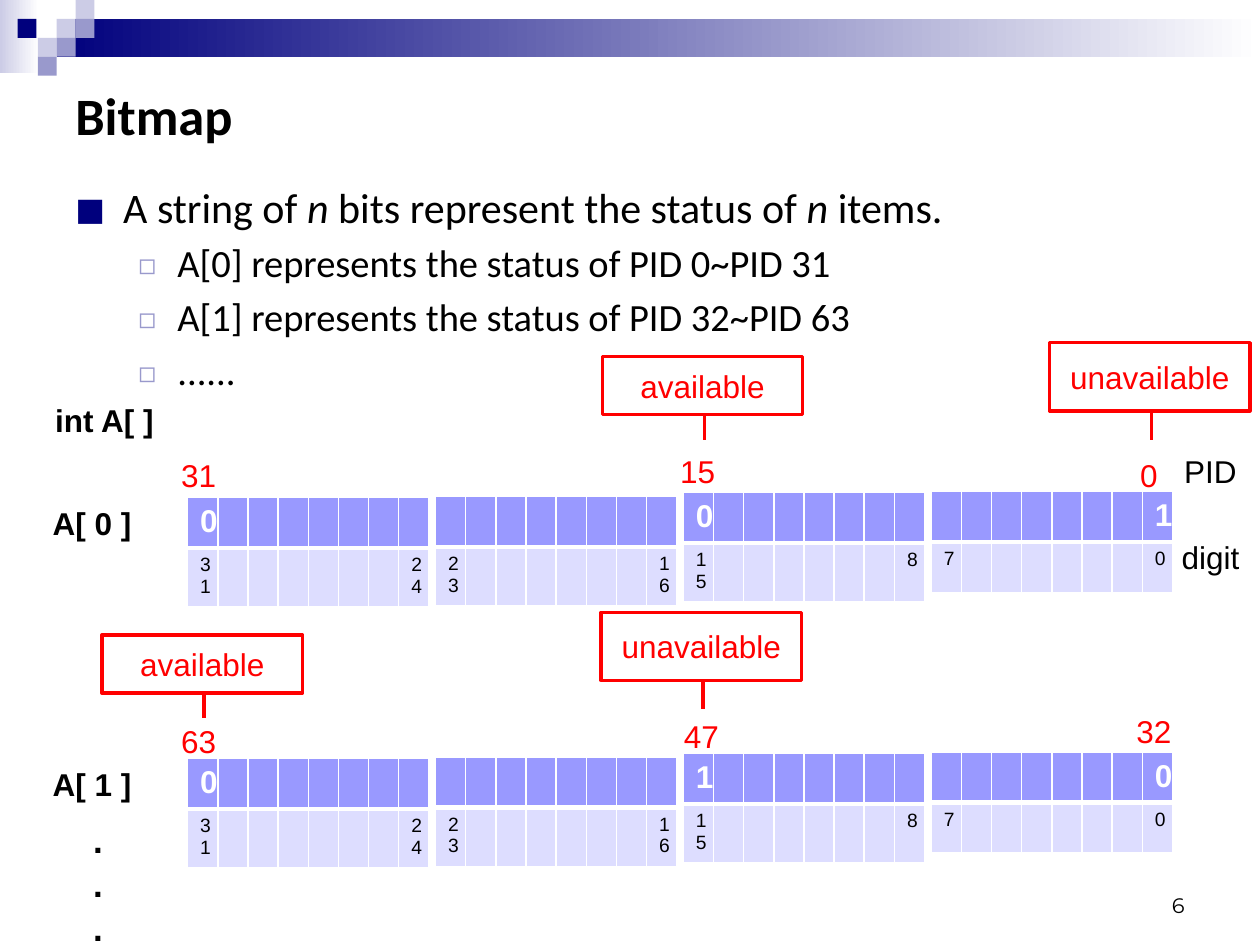
from lxml.etree import SubElement
from pptx import Presentation
from pptx.dml.color import RGBColor
from pptx.enum.shapes import MSO_SHAPE as Shape
from pptx.enum.text import MSO_ANCHOR as Anchor, PP_ALIGN as Align
from pptx.oxml.ns import qn
from pptx.util import Inches, Pt

NAVY = RGBColor(0x00, 0x00, 0x7D)
LILAC = RGBColor(0xCC, 0xCC, 0xE6)
VIOLET = RGBColor(0x99, 0x99, 0xCC)
BIT_FILL = RGBColor(0x99, 0x99, 0xFF)
DIGIT_FILL = RGBColor(0xDD, 0xDD, 0xFF)
RED = RGBColor(0xFF, 0x00, 0x00)
BLACK = RGBColor(0x00, 0x00, 0x00)
WHITE = RGBColor(0xFF, 0xFF, 0xFF)

SLIDE_W, SLIDE_H = Inches(10), Inches(7.5)
COL, ROW = SLIDE_W / 100, SLIDE_H / 75
BITS = 8
BYTE_PITCH, BYTE_W, BIT_H = 19.67, 18.9, 4
BYTE_DROPS = [0, -0.1, -0.4, -0.5]
BYTE_DIGITS = [("31", "24"), ("23", "16"), ("15", "8"), ("7", "0")]

LABEL = {"size": Pt(18), "name": "Arial"}
STRONG = {**LABEL, "bold": True}
DOTS = {**STRONG, "size": Pt(20)}
DIGIT = {**LABEL, "size": Pt(11)}
TITLE = {"size": Pt(30), "name": "Calibri", "bold": True}
POINT = {"size": Pt(24), "name": "Calibri"}
SUBPOINT = {"size": Pt(22), "name": "Calibri"}
PAGE = {"size": Pt(12), "name": "Montserrat"}


def on_grid(box):
    left, top, width, height = box
    return [round(v) for v in (left * COL, top * ROW, width * COL, height * ROW)]


def add_run(paragraph, words, look, color=BLACK):
    run = paragraph.add_run()
    run.text = words
    for key, value in look.items():
        setattr(run.font, key, value)
    run.font.color.rgb = color


def add_label(slide, box, words, look, color=BLACK, align=Align.LEFT, anchor=Anchor.TOP):
    frame = slide.shapes.add_textbox(*on_grid(box)).text_frame
    frame.word_wrap = True
    frame.vertical_anchor = anchor
    frame.paragraphs[0].alignment = align
    add_run(frame.paragraphs[0], words, look, color)
    return frame


def add_block(slide, box, color, fade=False):
    block = slide.shapes.add_shape(Shape.RECTANGLE, *on_grid(box))
    block.shadow.inherit = False
    block.line.fill.background()
    if fade:
        block.fill.gradient()
        block.fill.gradient_angle = 0
        for stop, shade in zip(block.fill.gradient_stops, (color, WHITE)):
            stop.color.rgb = shade
    else:
        block.fill.solid()
        block.fill.fore_color.rgb = color


def add_banner(slide, box):
    left, top, width, height = box
    tile = height / 4
    add_block(slide, (left, top, 3.1, 5.8), LILAC, fade=True)
    add_block(slide, (left + 3 * tile, top + tile, width - 3 * tile, 2 * tile), NAVY, fade=True)
    mosaic = [(3, 1, LILAC), (4, 0, LILAC), (4, 1, VIOLET), (2, 2, LILAC),
              (0.93, 1, NAVY), (3, 2, VIOLET), (2, 3, VIOLET)]
    for column, row, color in mosaic:
        add_block(slide, (left + column * tile, top + row * tile, tile, tile), color)


def set_bullet(paragraph, mark, color, margin, hang):
    props = paragraph._p.get_or_add_pPr()
    props.set("marL", str(Inches(margin)))
    props.set("indent", str(-Inches(hang)))
    tint = SubElement(SubElement(props, qn("a:buClr")), qn("a:srgbClr"))
    tint.set("val", str(color))
    SubElement(props, qn("a:buSzPct")).set("val", "75000")
    SubElement(props, qn("a:buFont")).set("typeface", "Noto Sans Symbols")
    SubElement(props, qn("a:buChar")).set("char", mark)


def add_points(slide, box):
    frame = add_label(slide, box, "A string of ", POINT)
    lead = frame.paragraphs[0]
    for words, slanted in [("n", True), (" bits represent the status of ", False),
                           ("n", True), (" items.", False)]:
        add_run(lead, words, {**POINT, "italic": slanted})
    set_bullet(lead, "■", NAVY, 0.38, 0.38)
    for words in ["A[0] represents the status of PID 0~PID 31",
                  "A[1] represents the status of PID 32~PID 63", "......"]:
        detail = frame.add_paragraph()
        detail.level = 1
        detail.space_before = Pt(4.4)
        add_run(detail, words, SUBPOINT)
        set_bullet(detail, "◻", VIOLET, 0.81, 0.31)


def set_borders(cell, weights):
    props = cell._tc.get_or_add_tcPr()
    for index, (side, weight) in enumerate(zip(("lnL", "lnR", "lnT", "lnB"), weights)):
        edge = props.makeelement(qn(f"a:{side}"), {"w": str(Pt(weight))})
        tint = SubElement(SubElement(edge, qn("a:solidFill")), qn("a:srgbClr"))
        tint.set("val", str(WHITE))
        props.insert(index, edge)


def add_byte(slide, box, bits, digits):
    table = slide.shapes.add_table(2, BITS, *on_grid(box)).table
    bands = [(bits, BIT_FILL, STRONG, WHITE, Align.CENTER, (1, 1, 1, 3)),
             (digits, DIGIT_FILL, DIGIT, BLACK, Align.LEFT, (1, 1, 3, 1))]
    for row, (ends, fill, look, color, align, weights) in enumerate(bands):
        shown = {0: ends[0], BITS - 1: ends[1]}
        for column in range(BITS):
            cell = table.cell(row, column)
            cell.fill.solid()
            cell.fill.fore_color.rgb = fill
            set_borders(cell, weights)
            paragraph = cell.text_frame.paragraphs[0]
            paragraph.font.size = look["size"]
            if shown.get(column):
                paragraph.alignment = align
                add_run(paragraph, shown[column], look, color)


def add_word(slide, box, name, bits):
    left, top, width, height = box
    add_label(slide, (left, top, 9.5, 4), name, STRONG)
    for index, (drop, ends, digits) in enumerate(zip(BYTE_DROPS, bits, BYTE_DIGITS)):
        byte_left = left + width - 3 * BYTE_PITCH - BYTE_W + index * BYTE_PITCH
        add_byte(slide, (byte_left, top + drop, BYTE_W, height), ends, digits)


def add_status(slide, box, words, reach):
    callout = slide.shapes.add_shape(Shape.LINE_CALLOUT_1, *on_grid(box))
    callout.shadow.inherit = False
    callout.fill.background()
    callout.line.color.rgb = RED
    callout.line.width = Pt(2)
    for index, share in enumerate((1, 0.51, 1 + reach / box[3], 0.51)):
        callout.adjustments[index] = share
    frame = callout.text_frame
    frame.word_wrap = True
    frame.vertical_anchor = Anchor.MIDDLE
    frame.paragraphs[0].alignment = Align.CENTER
    add_run(frame.paragraphs[0], words, LABEL, RED)


def add_bitmap(slide, box):
    left, top, width, height = box
    add_label(slide, (left + 0.2, top, 10.6, 4), "int A[ ]", STRONG)
    words = [("A[ 0 ]", 8.2, ["0", "", "0", ""], "1"), ("A[ 1 ]", 28.9, ["0", "", "1", ""], "0")]
    for name, drop, firsts, last in words:
        bits = [(first, "") for first in firsts[:3]] + [("", last)]
        add_word(slide, (left, top + drop, width, 2 * BIT_H), name, bits)
    for x, y, w, h, status, reach in [(83.3, 27.2, 15.9, 5.4, "unavailable", 2.3),
                                      (47.8, 28.3, 15.9, 4.6, "available", 2),
                                      (47.7, 48.6, 15.9, 5.4, "unavailable", 2.3),
                                      (8.1, 50.4, 15.9, 4.6, "available", 2)]:
        add_status(slide, (x, y, w, h), status, reach)
    for x, y, w, pid in [(89.5, 35.7, 3.5, "0"), (53, 35.4, 5.3, "15"), (13.4, 35.7, 5.3, "31"),
                         (89.2, 56, 5.8, "32"), (13.4, 56.8, 5.3, "63"), (53.3, 56.4, 5.3, "47")]:
        add_label(slide, (x, y, w, 4), pid, LABEL, RED)
    add_label(slide, (93, 35.4, 6.2, 4), "PID", LABEL)
    add_label(slide, (92.8, 42.2, 8.2, 4), "digit", LABEL)
    dots = add_label(slide, (left + 3.2, top + 33, 3.1, height - 33), ".", DOTS)
    for _ in range(2):
        add_run(dots.add_paragraph(), ".", DOTS)
    for dot in dots.paragraphs:
        dot.line_spacing = 1.05


def main():
    deck = Presentation()
    deck.slide_width, deck.slide_height = SLIDE_W, SLIDE_H
    slide = deck.slides.add_slide(deck.slide_layouts[6])
    add_banner(slide, (0, 0, 100, 6))
    add_label(slide, (5, 5, 90, 8.1), "Bitmap", TITLE, anchor=Anchor.MIDDLE)
    add_points(slide, (5, 13.9, 90, 50.3))
    add_label(slide, (71.7, 68.3, 23.3, 5), "6", PAGE, align=Align.RIGHT, anchor=Anchor.BOTTOM)
    add_bitmap(slide, (3.2, 31.3, 89.6, 44.1))
    deck.save("out.pptx")


if __name__ == "__main__":
    main()
